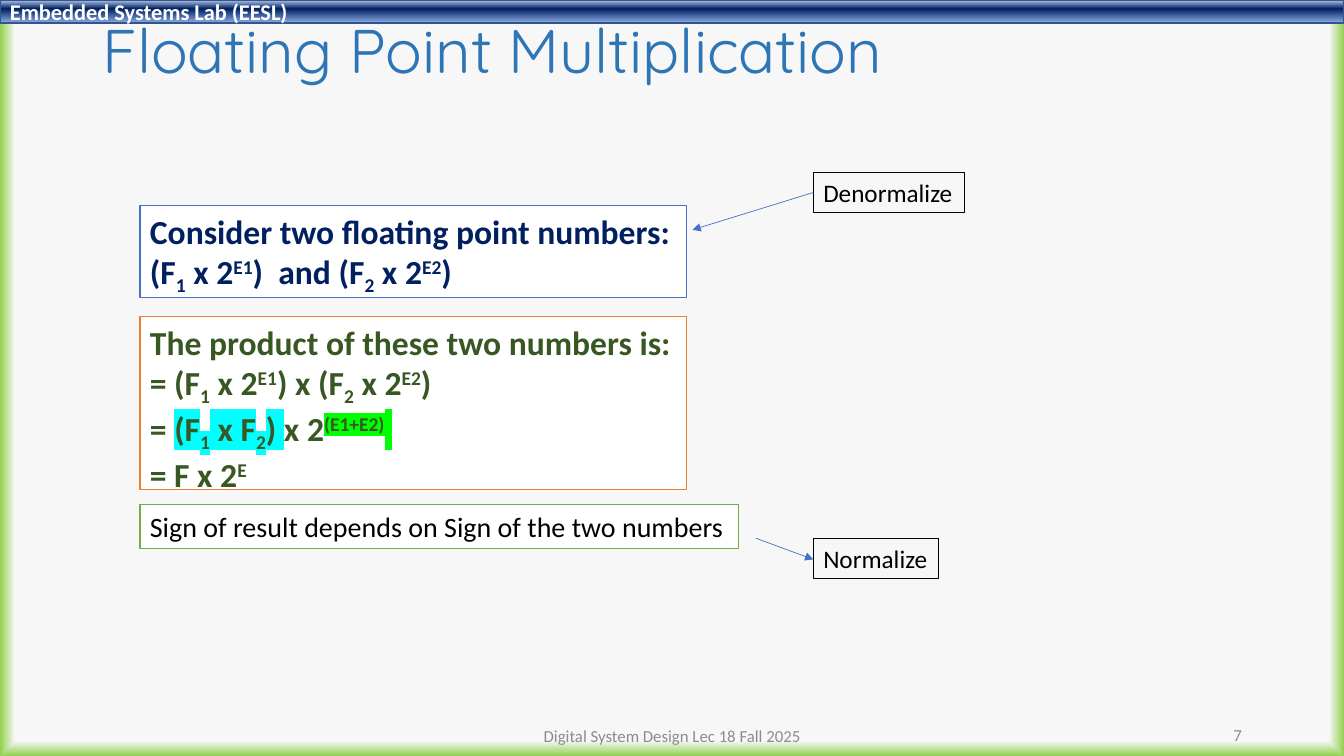
from dataclasses import dataclass
from typing import Optional

from lxml import etree
from pptx import Presentation
from pptx.dml.color import RGBColor
from pptx.enum.shapes import MSO_CONNECTOR, MSO_SHAPE
from pptx.enum.text import MSO_ANCHOR, MSO_AUTO_SIZE, PP_ALIGN
from pptx.oxml import parse_xml
from pptx.oxml.ns import nsdecls, qn
from pptx.util import Pt

RECTANGLE = MSO_SHAPE.RECTANGLE
STRAIGHT = MSO_CONNECTOR.STRAIGHT
TOP, MIDDLE = MSO_ANCHOR.TOP, MSO_ANCHOR.MIDDLE
LEFT, CENTER, RIGHT = PP_ALIGN.LEFT, PP_ALIGN.CENTER, PP_ALIGN.RIGHT
GROW, FIXED = MSO_AUTO_SIZE.SHAPE_TO_FIT_TEXT, MSO_AUTO_SIZE.NONE

BLACK = RGBColor(0x00, 0x00, 0x00)
WHITE = RGBColor(0xFF, 0xFF, 0xFF)
GRAY = RGBColor(0x8C, 0x8C, 0x8C)
PALE_GRAY = RGBColor(0xF7, 0xF7, 0xF7)
LIME = RGBColor(0x92, 0xD0, 0x50)
NAVY = RGBColor(0x00, 0x20, 0x60)
LIGHT_BLUE = RGBColor(0xAB, 0xC0, 0xE4)
MID_BLUE = RGBColor(0x7E, 0x9E, 0xD6)
BAND_LINE = RGBColor(0x32, 0x54, 0x91)
TITLE_BLUE = RGBColor(0x2E, 0x75, 0xB6)
BLUE = RGBColor(0x44, 0x72, 0xC4)
ORANGE = RGBColor(0xED, 0x7D, 0x31)
GREEN = RGBColor(0x70, 0xAD, 0x47)
DARK_GREEN = RGBColor(0x38, 0x57, 0x23)
CYAN = RGBColor(0x00, 0xFF, 0xFF)
BRIGHT_GREEN = RGBColor(0x00, 0xFF, 0x00)

BODY_FONT, TITLE_FONT = "Calibri", "Quicksand"
BODY_LEFT, CALLOUT_LEFT = 100, 581


@dataclass
class Piece:
    text: str
    baseline: int = 0
    highlight: Optional[RGBColor] = None


@dataclass
class Box:
    left: float
    top: float
    width: float
    height: float
    lines: list[list[Piece]]
    size: float
    color: RGBColor
    line: RGBColor
    line_width: float = 1
    fill: Optional[RGBColor] = WHITE
    bold: bool = False


@dataclass
class Footer:
    left: float
    top: float
    width: float
    text: str
    alignment: PP_ALIGN


@dataclass
class Arrow:
    start: tuple[float, float]
    end: tuple[float, float]


def sub(text: str, highlight: Optional[RGBColor] = None) -> Piece:
    return Piece(text, -25000, highlight)


def sup(text: str, highlight: Optional[RGBColor] = None) -> Piece:
    return Piece(text, 30000, highlight)


def operands(before: str, between: str) -> list[Piece]:
    return [Piece(before), sub("1"), Piece(" x 2"), sup("E1"), Piece(between),
            sub("2"), Piece(" x 2"), sup("E2"), Piece(")")]


def set_gradient(properties, stops: list[tuple[int, RGBColor]], direction: str) -> None:
    """Swap a solid fill for a gradient of (position %, colour) stops."""
    stop_xml = "".join(
        f'<a:gs pos="{position * 1000}"><a:srgbClr val="{color}"/></a:gs>'
        for position, color in stops)
    fill = parse_xml(f'<a:gradFill {nsdecls("a")} rotWithShape="1">'
                     f"<a:gsLst>{stop_xml}</a:gsLst>{direction}</a:gradFill>")
    properties.replace(properties.find(qn("a:solidFill")), fill)


def format_run(run, size: float, color: RGBColor, bold: bool = False,
               name: str = BODY_FONT) -> None:
    run.font.size = Pt(size)
    run.font.color.rgb = color
    run.font.bold = bold
    run.font.name = name


def add_piece(paragraph, piece: Piece, box: Box) -> None:
    run = paragraph.add_run()
    run.text = piece.text
    format_run(run, box.size, box.color, box.bold)
    properties = run._r.get_or_add_rPr()
    if piece.baseline:
        properties.set("baseline", str(piece.baseline))
    if piece.highlight is not None:
        properties.find(qn("a:solidFill")).addnext(parse_xml(
            f'<a:highlight {nsdecls("a")}>'
            f'<a:srgbClr val="{piece.highlight}"/></a:highlight>'))


def add_box(slide, box: Box):
    shape = slide.shapes.add_shape(RECTANGLE, Pt(box.left), Pt(box.top),
                                   Pt(box.width), Pt(box.height))
    shape.shadow.inherit = False
    if box.fill is None:
        shape.fill.background()
    else:
        shape.fill.solid()
        shape.fill.fore_color.rgb = box.fill
    shape.line.color.rgb = box.line
    shape.line.width = Pt(box.line_width)
    frame = shape.text_frame
    frame.word_wrap = False
    frame.auto_size = GROW
    frame.vertical_anchor = TOP
    for index, pieces in enumerate(box.lines):
        paragraph = frame.add_paragraph() if index else frame.paragraphs[0]
        paragraph.alignment = LEFT
        for piece in pieces:
            add_piece(paragraph, piece, box)
    return shape


def add_footer(slide, footer: Footer) -> None:
    shape = slide.shapes.add_textbox(Pt(footer.left), Pt(footer.top),
                                     Pt(footer.width), Pt(28.8))
    frame = shape.text_frame
    frame.word_wrap = True
    frame.vertical_anchor = MIDDLE
    frame.text = footer.text
    frame.paragraphs[0].alignment = footer.alignment
    format_run(frame.paragraphs[0].runs[0], 12, GRAY)


def add_arrow(slide, arrow: Arrow) -> None:
    connector = slide.shapes.add_connector(
        STRAIGHT, *(Pt(value) for value in arrow.start + arrow.end))
    connector.line.color.rgb = BLUE
    connector.line.width = Pt(0.5)
    properties = connector.element.spPr
    etree.SubElement(properties.find(qn("a:ln")), qn("a:tailEnd"), type="triangle")
    etree.SubElement(properties, qn("a:effectLst"))


BAND = Box(0, 0, 960, 16.6, [[Piece("Embedded Systems Lab (EESL)")]],
           16, WHITE, BAND_LINE, fill=NAVY, bold=True)
BOXES = [
    Box(BODY_LEFT, 146.9, 390.2, 65.5,
        [[Piece("Consider two floating point numbers:")],
         operands("(F", ")  and (F")],
        24, NAVY, BLUE, bold=True),
    Box(BODY_LEFT, 226.1, 390.2, 123.8,
        [[Piece("The product of these two numbers is:")],
         operands("= (F", ") x (F"),
         [Piece("= "), Piece("(F", 0, CYAN), sub("1", CYAN), Piece(" x F", 0, CYAN),
          sub("2", CYAN), Piece(") ", 0, CYAN), Piece("x 2"),
          sup("(E1+E2)", BRIGHT_GREEN), Piece(" ", 0, BRIGHT_GREEN)],
         [Piece("= F x 2"), sup("E")]],
        24, DARK_GREEN, ORANGE, bold=True),
    Box(BODY_LEFT, 360.2, 427.7, 31.7,
        [[Piece("Sign of result depends on Sign of the two numbers")]],
        20, BLACK, GREEN),
    Box(CALLOUT_LEFT, 123.1, 108, 28.8, [[Piece("Denormalize")]],
        18, BLACK, BLACK, 0.75, None),
    Box(CALLOUT_LEFT, 384.5, 89.3, 28.8, [[Piece("Normalize")]],
        18, BLACK, BLACK, 0.75, None),
]
FOOTERS = [
    Footer(678.2, 510.5, 216, "7", RIGHT),
    Footer(318.2, 511.2, 324, "Digital System Design Lec 18 Fall 2025", CENTER),
]
ARROWS = [
    Arrow((CALLOUT_LEFT, 137.5), (494.6, 164.2)),
    Arrow((540, 384.5), (CALLOUT_LEFT, 399.6)),
]


def main() -> None:
    presentation = Presentation()
    presentation.slide_width, presentation.slide_height = Pt(960), Pt(540)
    slide = presentation.slides.add_slide(presentation.slide_layouts[5])

    # Background with a green glow along the edges
    slide.background.fill.solid()
    set_gradient(slide.element.find(".//" + qn("p:bgPr")),
                 [(96, PALE_GRAY), (100, LIME)],
                 '<a:path path="shape"><a:fillToRect l="50000" t="50000" '
                 'r="50000" b="50000"/></a:path>')

    # Title
    title = slide.shapes.title
    title.left, title.top, title.width, title.height = Pt(66.2), Pt(10.8), Pt(828), Pt(55.4)
    title.text_frame.text = "Floating Point Multiplication"
    title.text_frame.vertical_anchor = MIDDLE
    title.text_frame.auto_size = FIXED
    heading = title.text_frame.paragraphs[0]
    heading.alignment = LEFT
    heading.line_spacing = 0.9
    format_run(heading.runs[0], 44, TITLE_BLUE, name=TITLE_FONT)

    # Header band behind the title
    band = add_box(slide, BAND)
    band.text_frame.auto_size = FIXED
    band.text_frame.word_wrap = True
    band.text_frame.vertical_anchor = MIDDLE
    set_gradient(band.element.spPr, [(2, LIGHT_BLUE), (38, NAVY), (93, MID_BLUE)],
                 '<a:lin ang="5400000" scaled="0"/>')
    title.element.addprevious(band.element)

    # Content, footers and arrows
    for box in BOXES:
        add_box(slide, box)
    for footer in FOOTERS:
        add_footer(slide, footer)
    for arrow in ARROWS:
        add_arrow(slide, arrow)

    presentation.save("out.pptx")


if __name__ == "__main__":
    main()
